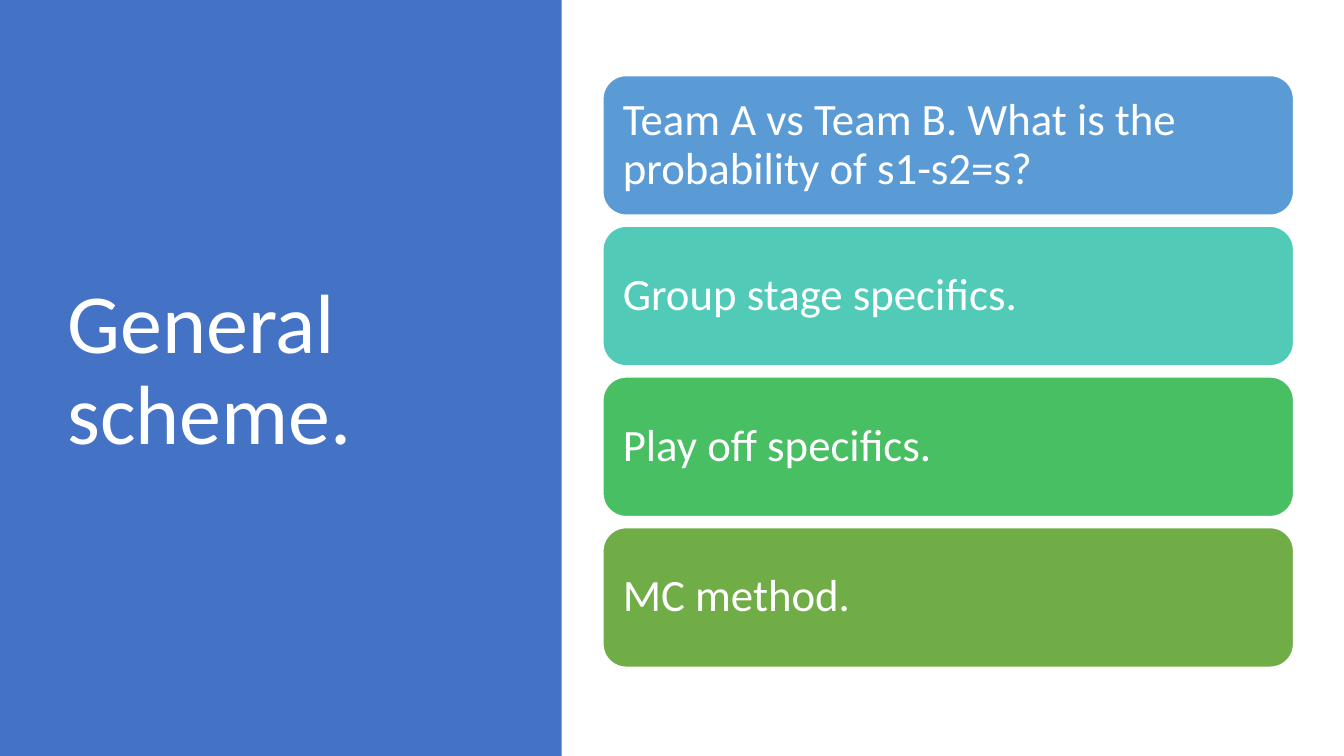
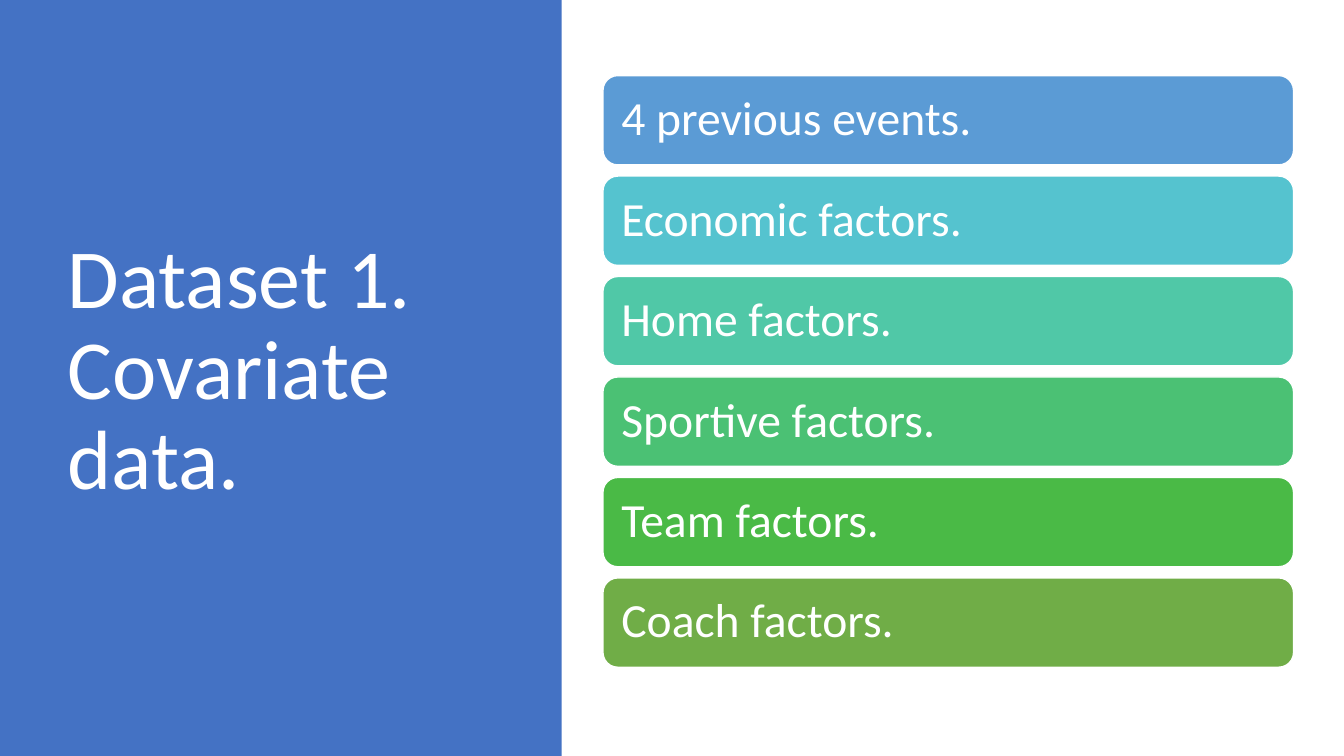
from pptx import Presentation
from pptx.dml.color import RGBColor
from pptx.enum.shapes import MSO_SHAPE
from pptx.enum.text import MSO_ANCHOR, MSO_AUTO_SIZE, PP_ALIGN
from pptx.util import Inches, Pt

WHITE = RGBColor(0xFF, 0xFF, 0xFF)
NAVY = RGBColor(0x44, 0x72, 0xC4)
BLUE = RGBColor(0x5B, 0x9B, 0xD5)
AQUA = RGBColor(0x55, 0xC3, 0xCF)
TEAL = RGBColor(0x52, 0xCA, 0xB8)
MINT = RGBColor(0x50, 0xC8, 0xA7)
JADE = RGBColor(0x4B, 0xC1, 0x74)
GREEN = RGBColor(0x49, 0xBF, 0x64)
GRASS = RGBColor(0x4A, 0xBA, 0x46)
OLIVE = RGBColor(0x70, 0xAD, 0x47)

TALL = 7.5
TOP, SPAN, GAP = 0.75, 5.87, 0.11
LEFT, WIDE = 5.98, 6.85

FRAME = {"word_wrap": True, "auto_size": MSO_AUTO_SIZE.NONE,
         "vertical_anchor": MSO_ANCHOR.MIDDLE}
PARA = {"alignment": PP_ALIGN.LEFT, "line_spacing": 0.9}
FONT = {"name": "Calibri", "bold": False}
PLACE = {"left": Inches(0.57), "top": Inches(0.68),
         "width": Inches(4.16), "height": Inches(6.02)}
SIDES = ("margin_left", "margin_top", "margin_right", "margin_bottom")

SLIDES = [
    ("General scheme.", 32, 0.13, [
        ("Team A vs Team B. What is the probability of s1-s2=s?", BLUE),
        ("Group stage specifics.", TEAL),
        ("Play off specifics.", GREEN),
        ("MC method.", OLIVE),
    ]),
    ("Dataset 1. Covariate data.", 34, 0.14, [
        ("4 previous events.", BLUE),
        ("Economic factors.", AQUA),
        ("Home factors.", MINT),
        ("Sportive factors.", JADE),
        ("Team factors.", GRASS),
        ("Coach factors.", OLIVE),
    ]),
]


def style(item, look):
    for name, value in look.items():
        setattr(item, name, value)


def write(shape, text, size):
    frame = shape.text_frame
    frame.text = text
    para = frame.paragraphs[0]
    style(frame, FRAME)
    style(para, PARA)
    style(para.font, FONT | {"size": Pt(size)})
    para.font.color.rgb = WHITE


def add_box(slide, kind, box, fill):
    shape = slide.shapes.add_shape(kind, *map(Inches, box))
    shape.shadow.inherit = False
    shape.fill.solid()
    shape.fill.fore_color.rgb = fill
    return shape


def add_title(slide, text):
    title = slide.shapes.title
    style(title, PLACE)
    write(title, text, 60)
    band = add_box(slide, MSO_SHAPE.RECTANGLE, (0, 0, 5.57, TALL), NAVY)
    band.line.fill.background()
    title.element.addprevious(band.element)


def add_cards(slide, cards, size, inset):
    high = (SPAN - GAP * (len(cards) - 1)) / len(cards)
    for row, (text, fill) in enumerate(cards):
        box = (LEFT, TOP + row * (high + GAP), WIDE, high)
        card = add_box(slide, MSO_SHAPE.ROUNDED_RECTANGLE, box, fill)
        card.line.color.rgb = WHITE
        card.line.width = Pt(1)
        write(card, text, size)
        style(card.text_frame, dict.fromkeys(SIDES, Inches(inset)))


def main():
    deck = Presentation()
    style(deck, {"slide_width": Inches(13.33), "slide_height": Inches(TALL)})
    for title, size, inset, cards in SLIDES:
        slide = deck.slides.add_slide(deck.slide_layouts.get_by_name("Title Only"))
        add_title(slide, title)
        add_cards(slide, cards, size, inset)
    deck.save("out.pptx")


if __name__ == "__main__":
    main()
